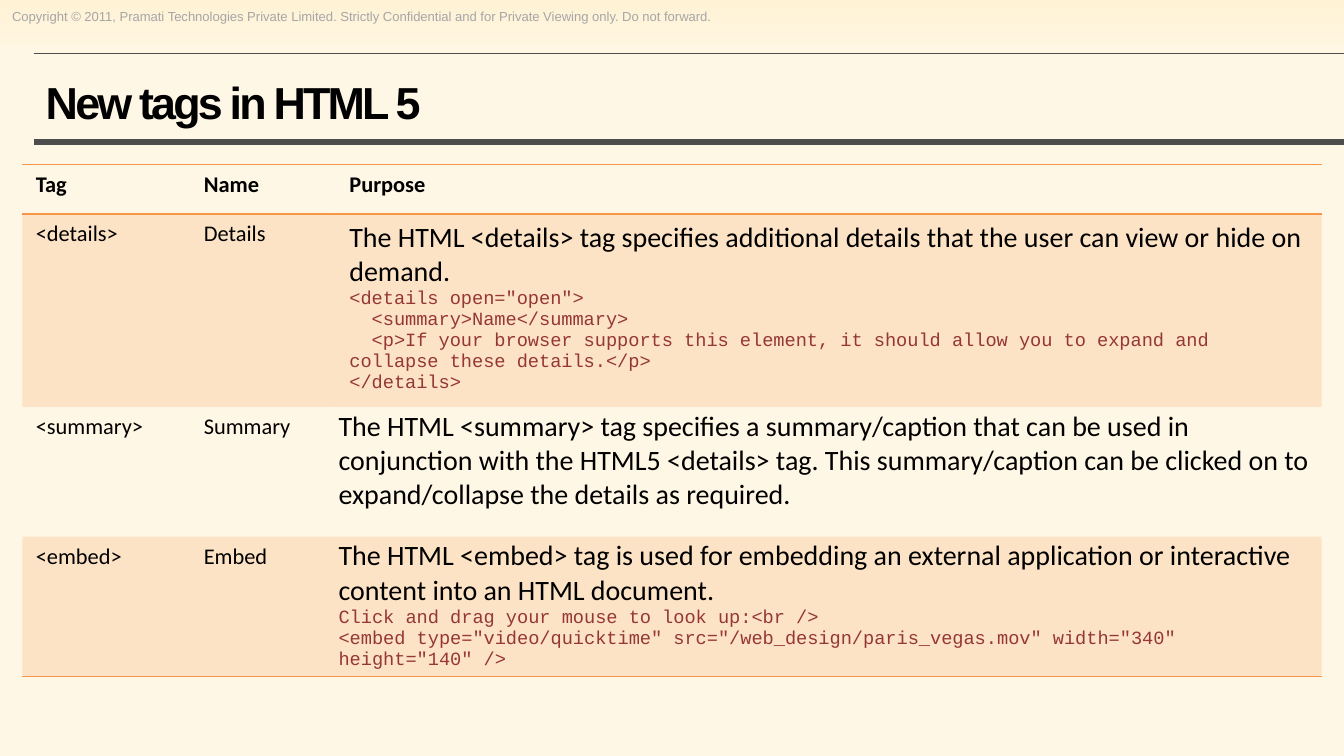
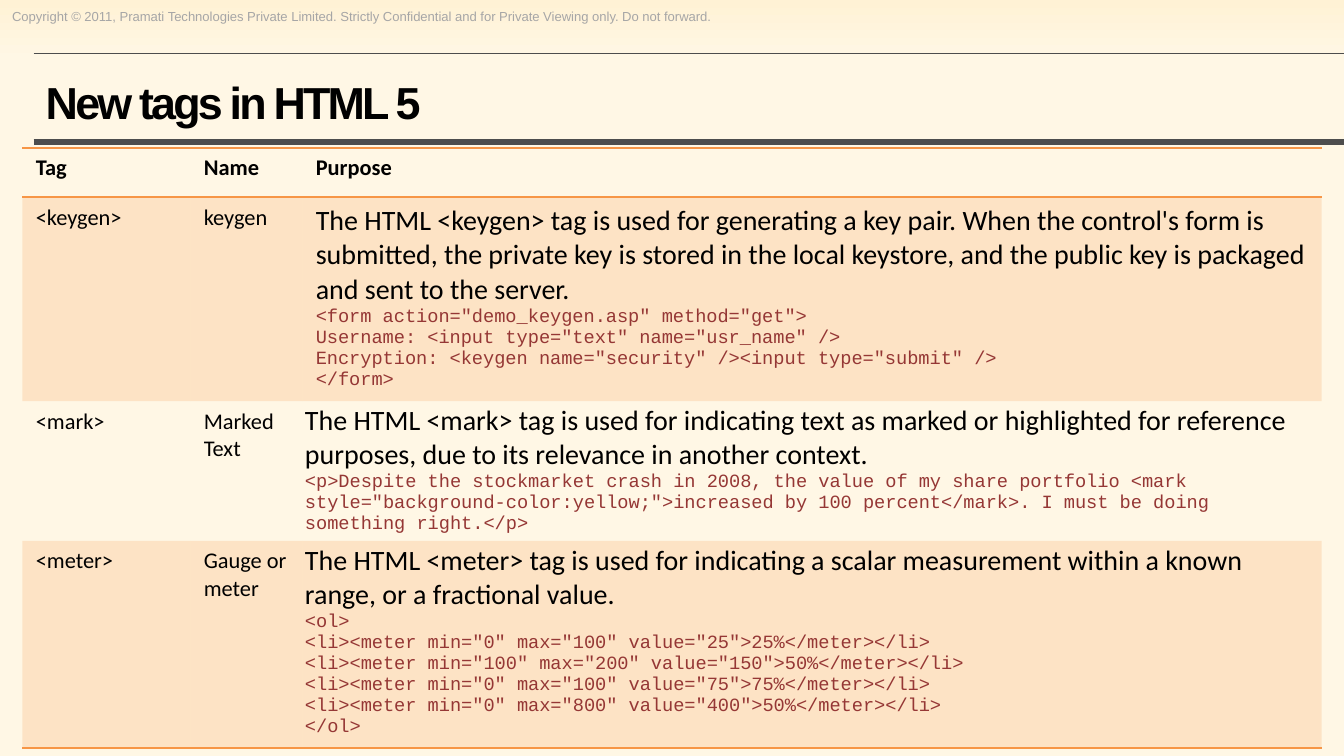
"""Build two slides of reference tables for new HTML 5 tags."""
import lxml.etree
import pptx
import pptx.dml.color
import pptx.enum.shapes
import pptx.enum.text
import pptx.oxml.ns
import pptx.util

BLACK = pptx.dml.color.RGBColor(0x00, 0x00, 0x00)
DARK_GREY = pptx.dml.color.RGBColor(0x4D, 0x4D, 0x4D)
PALE_GREY = pptx.dml.color.RGBColor(0xA6, 0xA6, 0xA6)
ORANGE = pptx.dml.color.RGBColor(0xF7, 0x96, 0x46)
CODE_RED = pptx.dml.color.RGBColor(0x95, 0x37, 0x35)
CREAM_TOP = pptx.dml.color.RGBColor(0xFF, 0xF2, 0xD5)
CREAM = pptx.dml.color.RGBColor(0xFF, 0xF7, 0xE5)

COPYRIGHT = ("Copyright © 2011, Pramati Technologies Private Limited. "
             "Strictly Confidential and for Private Viewing only. Do not forward.")
TITLE = "New tags in HTML 5"
HEADINGS = ("Tag", "Name", "Purpose")
PLAIN_TABLE = "{2D5ABB26-0587-4C30-8999-92F81FD0307C}"
qn = pptx.oxml.ns.qn

TABLES = [
    {
        "top": 14.7, "columns": (15, 13, 88), "rows": (4.4, 16.7, 11.6, 12.2),
        "tags": [
            ("<details>", "Details",
             "The HTML <details> tag specifies additional details that the user can view or hide on demand.",
             ['<details open="open">',
              "  <summary>Name</summary>",
              "  <p>If your browser supports this element, it should allow you to expand and "
              "collapse these details.</p>",
              "</details>"]),
            ("<summary>", "Summary",
             "The HTML <summary> tag specifies a summary/caption that can be used in conjunction with "
             "the HTML5 <details> tag. This summary/caption can be clicked on to expand/collapse the "
             "details as required.",
             []),
            ("<embed>", "Embed",
             "The HTML <embed> tag is used for embedding an external application or interactive "
             "content into an HTML document.",
             ["Click and drag your mouse to look up:<br />",
              '<embed type="video/quicktime" src="/web_design/paris_vegas.mov" width="340" height="140" />']),
        ],
    },
    {
        "top": 13.2, "columns": (15, 10, 91), "rows": (4.4, 17.9, 12.2, 17.9),
        "tags": [
            ("<keygen>", "keygen",
             "The HTML <keygen> tag is used for generating a key pair. When the control's form is "
             "submitted, the private key is stored in the local keystore, and the public key is "
             "packaged and sent to the server.",
             ['<form action="demo_keygen.asp" method="get">',
              'Username: <input type="text" name="usr_name" />',
              'Encryption: <keygen name="security" /><input type="submit" />',
              "</form>"]),
            ("<mark>", "Marked Text",
             "The HTML <mark> tag is used for indicating text as marked or highlighted for reference "
             "purposes, due to its relevance in another context.",
             ["<p>Despite the stockmarket crash in 2008, the value of my share portfolio <mark "
              'style="background-color:yellow;">increased by 100 percent</mark>. I must be doing '
              "something right.</p>"]),
            ("<meter>", "Gauge or meter",
             "The HTML <meter> tag is used for indicating a scalar measurement within a known range, "
             "or a fractional value.",
             ["<ol>",
              '<li><meter min="0" max="100" value="25">25%</meter></li>',
              '<li><meter min="100" max="200" value="150">50%</meter></li>',
              '<li><meter min="0" max="100" value="75">75%</meter></li>',
              '<li><meter min="0" max="800" value="400">50%</meter></li>',
              "</ol>"]),
        ],
    },
]

deck = pptx.Presentation()
deck.slide_width = pptx.util.Inches(10)
deck.slide_height = deck.slide_width * 9 // 16


def grid(*steps):
    """Turn grid steps, 120 to the slide's width, into lengths."""
    return [pptx.util.Emu(round(step * deck.slide_width / 120)) for step in steps]


def write(frame, text, size=12, face="Calibri", color=BLACK, bold=False, first=True):
    """Put one formatted paragraph in a text frame and return its run."""
    paragraph = frame.paragraphs[0] if first else frame.add_paragraph()
    run = paragraph.add_run()
    run.text = text
    run.font.size = pptx.util.Pt(size)
    run.font.name = face
    run.font.color.rgb = color
    run.font.bold = bold
    return run


for content in TABLES:
    slide = deck.slides.add_slide(deck.slide_layouts[6])
    backdrop = slide.background.fill
    backdrop.gradient()
    backdrop.gradient_angle = 270
    for stop, color, position in zip(backdrop.gradient_stops, (CREAM_TOP, CREAM), (0, 0.08)):
        stop.color.rgb = color
        stop.position = position

    notice = slide.shapes.add_textbox(*grid(0, 0.25, 66.6, 2.5)).text_frame
    heading = slide.shapes.add_textbox(*grid(3, 5.3, 112, 7.5)).text_frame
    for frame in (notice, heading):
        frame.margin_left = frame.margin_right = pptx.util.Inches(0.09)
        frame.margin_top = frame.margin_bottom = pptx.util.Inches(0.04)
    notice.word_wrap = False
    write(notice, COPYRIGHT, size=7, face="Arial", color=PALE_GREY)

    for height, weight in ((12.7, 3), (4.8, 0.75)):
        rule = slide.shapes.add_connector(
            pptx.enum.shapes.MSO_CONNECTOR.STRAIGHT, *grid(3, height, 120, height))
        rule.line.color.rgb = DARK_GREY
        rule.line.width = pptx.util.Pt(weight)
        lxml.etree.SubElement(rule._element.spPr, qn("a:effectLst"))

    heading.word_wrap = True
    heading.vertical_anchor = pptx.enum.text.MSO_ANCHOR.MIDDLE
    title = write(heading, TITLE, size=24, face="Arial", bold=True)
    title_format = title.font._element
    title_format.set("spc", "-150")
    effects = lxml.etree.Element(qn("a:effectLst"))
    title_format.find(qn("a:solidFill")).addnext(effects)
    glow = lxml.etree.SubElement(effects, qn("a:outerShdw"), dist="25400", dir="2700000")
    lxml.etree.SubElement(glow, qn("a:srgbClr"), val="FFFFFF")

    columns, rows = content["columns"], content["rows"]
    table = slide.shapes.add_table(
        len(rows), len(columns), *grid(2, content["top"], sum(columns), sum(rows))).table
    table._tbl.tblPr.find(qn("a:tableStyleId")).text = PLAIN_TABLE
    table.horz_banding = False
    for column, width in zip(table.columns, grid(*columns)):
        column.width = width
    for row, height in zip(table.rows, grid(*rows)):
        row.height = height

    records = [(*HEADINGS, [])] + content["tags"]
    for r, (*words, code) in enumerate(records):
        for c, text in enumerate(words):
            cell = table.cell(r, c)
            is_purpose = r > 0 and c == 2
            write(cell.text_frame, text, size=15 if is_purpose else 12, bold=r == 0)
            if is_purpose:
                for line in code:
                    write(cell.text_frame, line, size=10, face="Courier New",
                          color=CODE_RED, first=False)
            if is_purpose and r > 1:
                cell.margin_left = cell.margin_right = pptx.util.Inches(0.02)
                cell.margin_top = cell.margin_bottom = pptx.util.Inches(0.02)

            cell_format = cell._tc.get_or_add_tcPr()
            if r % 2:
                cell.fill.solid()
                cell.fill.fore_color.rgb = ORANGE
                tint = cell_format.find(qn("a:solidFill")).find(qn("a:srgbClr"))
                lxml.etree.SubElement(tint, qn("a:alpha"), val="20000")
            else:
                cell.fill.background()
            edges = {0: ("a:lnT", "a:lnB"), len(records) - 1: ("a:lnB",)}.get(r, ())
            for place, edge in enumerate(edges):
                border = lxml.etree.Element(qn(edge), w=str(pptx.util.Pt(1)))
                ink = lxml.etree.SubElement(border, qn("a:solidFill"))
                lxml.etree.SubElement(ink, qn("a:srgbClr"), val=str(ORANGE))
                cell_format.insert(place, border)

deck.save("out.pptx")
